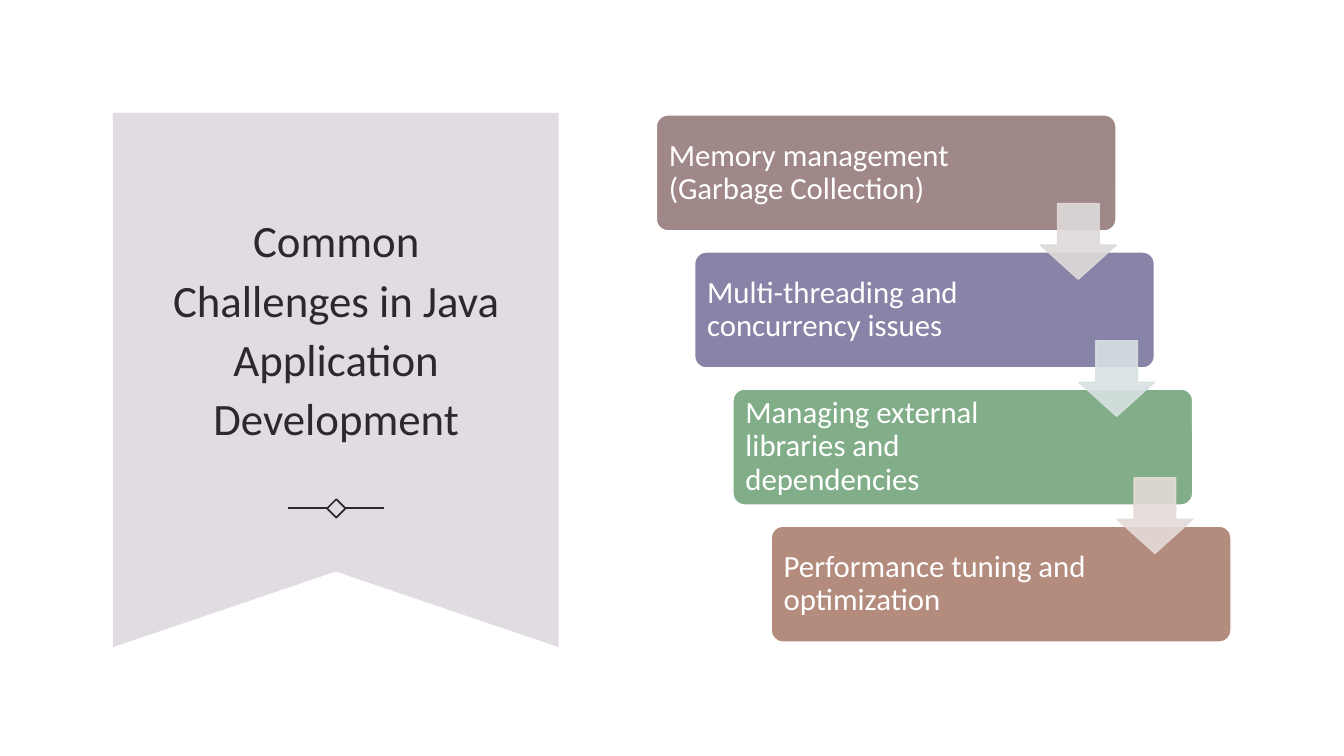
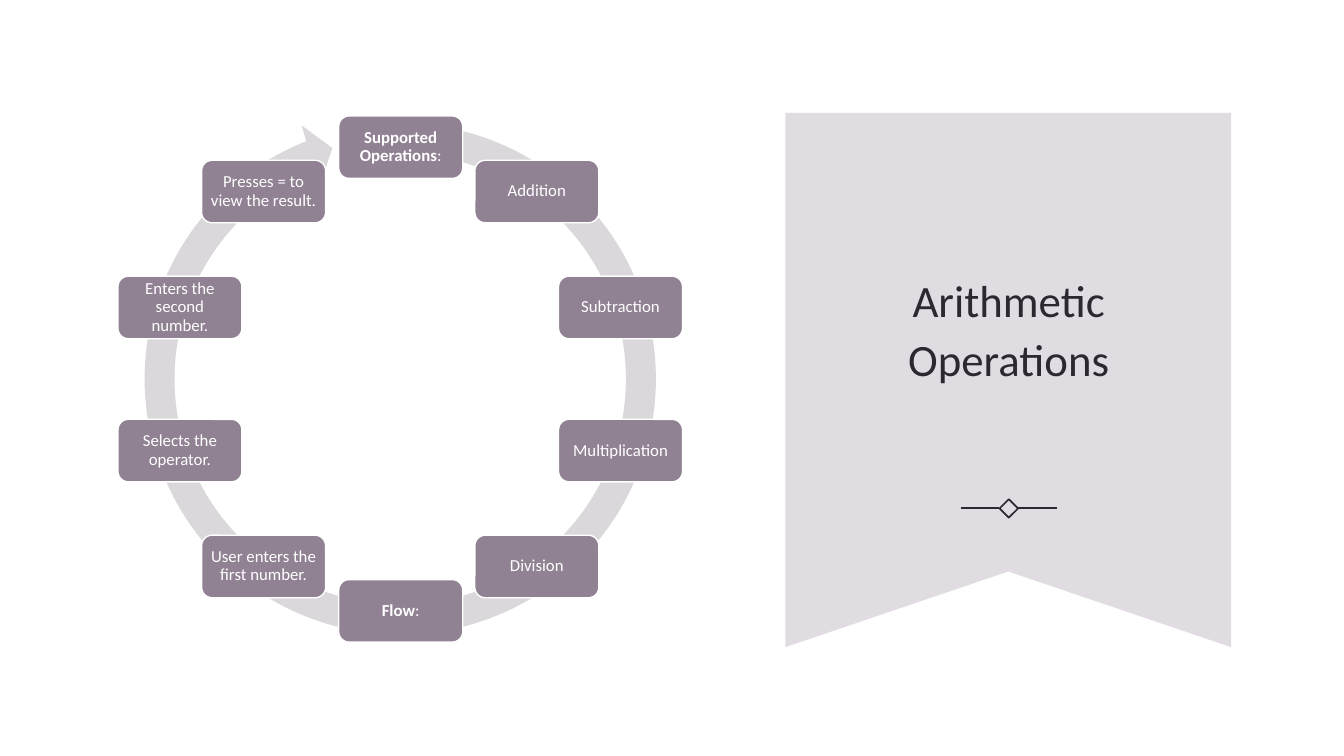
from math import cos, radians, sin

from lxml.etree import SubElement
from pptx import Presentation
from pptx.dml.color import RGBColor
from pptx.enum.shapes import MSO_CONNECTOR, MSO_SHAPE
from pptx.enum.text import MSO_ANCHOR, PP_ALIGN
from pptx.oxml.ns import qn
from pptx.util import Pt

SCALE = 9144
FONT = "Calibri"
INK, WHITE, RIBBON = "2C2830", "FFFFFF", "E0DCE1"
RING, CYCLE_CARD = "DBD8DC", "908193"

CHALLENGES = [
    ("Memory management (Garbage Collection)", "A08889"),
    ("Multi-threading and concurrency issues", "8784A7"),
    ("Managing external libraries and dependencies", "81AE88"),
    ("Performance tuning and optimization", "B48C7E"),
]
ARROW_COLORS = ["DFDADA", "D8E1E2", "E5DAD7"]
CYCLE_STEPS = [
    "Supported Operations:",
    "Addition",
    "Subtraction",
    "Multiplication",
    "Division",
    "Flow:",
    "User enters the first number.",
    "Selects the operator.",
    "Enters the second number.",
    "Presses = to view the result.",
]


def px(*lengths):
    """Turn lengths in px into a list of EMU."""
    return [round(length * SCALE) for length in lengths]


def color(value):
    """Return the colour of a hex string."""
    return RGBColor.from_string(value)


def paint(shape, fill=None, line=None, width=1):
    """Set fill and line of a shape and remove its shadow."""
    shape.shadow.inherit = False
    if fill:
        shape.fill.solid()
        shape.fill.fore_color.rgb = color(fill)
    else:
        shape.fill.background()
    if line:
        shape.line.color.rgb = color(line)
        shape.line.width = Pt(width)
    else:
        shape.line.fill.background()


def add_preset(slide, preset, box, adjustments=(), **style):
    """Add a painted preset shape at left, top, width, height."""
    shape = slide.shapes.add_shape(preset, *px(*box))
    for index, value in enumerate(adjustments):
        shape.adjustments[index] = value
    paint(shape, **style)
    return shape


def set_margins(text_frame, left, right, vertical):
    """Wrap the text, centre it vertically and set its insets."""
    text_frame.word_wrap = True
    text_frame.vertical_anchor = MSO_ANCHOR.MIDDLE
    text_frame.margin_left, text_frame.margin_right = px(left, right)
    text_frame.margin_top = text_frame.margin_bottom = px(vertical)[0]


def write(shape, text, size, ink, align, spacing):
    """Write one paragraph; a label that ends in a colon is bold before it."""
    paragraph = shape.text_frame.paragraphs[0]
    paragraph.alignment = align
    paragraph.line_spacing = spacing
    heading = text.endswith(":")
    paragraph.text = text.rstrip(":")
    if heading:
        paragraph.add_run().text = ":"
    for index, run in enumerate(paragraph.runs):
        run.font.name = FONT
        run.font.size = Pt(size)
        run.font.color.rgb = color(ink)
        run.font.bold = heading and index == 0


def add_line(slide, left, right, y):
    """Add a thin horizontal line without a shadow."""
    line = slide.shapes.add_connector(
        MSO_CONNECTOR.STRAIGHT, *px(left, y, right, y)
    )
    line.line.color.rgb = color(INK)
    line.line.width = Pt(1.25)
    SubElement(line.element.spPr, qn("a:effectLst"))


def add_title_ribbon(slide, left, title):
    """Add the notched ribbon with its title and ornament."""
    top, bottom, notch, width = 112, 642, 567, 442
    right = left + width
    builder = slide.shapes.build_freeform(left, top, scale=SCALE)
    builder.add_line_segments(
        [(right, top), (right, bottom), (left + width // 2, notch), (left, bottom)]
    )
    paint(builder.convert_to_shape(), fill=RIBBON)

    title_box = slide.shapes.add_textbox(*px(left + 44, 181, 355, 285))
    set_margins(title_box.text_frame, 10, 10, 5)
    write(title_box, title, 32, INK, PP_ALIGN.CENTER, 1.1)

    diamond = add_preset(
        slide, MSO_SHAPE.RECTANGLE, (left + 215, 498, 13, 13), line=INK, width=1.25
    )
    diamond.rotation = 45
    for start, end in ((174, 212), (230, 269)):
        add_line(slide, left + start, left + end, 504)


def add_staircase(slide):
    """Add the descending cards and the arrows between them."""
    step_x, step_y = 38, 136
    for index, (text, fill) in enumerate(CHALLENGES):
        card = add_preset(
            slide,
            MSO_SHAPE.ROUNDED_RECTANGLE,
            (651 + index * step_x, 114 + index * step_y, 456, 115),
            [0.1],
            fill=fill,
            line=WHITE,
        )
        set_margins(card.text_frame, 9, 137, 0)
        write(card, text, 22, WHITE, PP_ALIGN.LEFT, 0.9)
    for index, fill in enumerate(ARROW_COLORS):
        arrow = add_preset(
            slide,
            MSO_SHAPE.DOWN_ARROW,
            (1032 + index * step_x, 202 + index * step_y, 75, 75),
            [0.45, 0.55],
            fill=fill,
            line=fill,
        )
        arrow.adjustments[0], arrow.adjustments[1] = 0.55, 0.45
        for element in arrow.element.spPr.iter(qn("a:srgbClr")):
            SubElement(element, qn("a:alpha"), val="90000")


def add_cycle(slide):
    """Add the circular arrow and the cards spread evenly around it."""
    add_preset(
        slide,
        MSO_SHAPE.CIRCULAR_ARROW,
        (127, 106, 540, 540),
        [0.055, 3.307, 148.87, 167.404, 0.058],
        fill=RING,
    )
    center_x, center_y, radius = 397, 376, 230
    width, height = 123, 62
    for index, text in enumerate(CYCLE_STEPS):
        angle = radians(360 / len(CYCLE_STEPS) * index)
        left = round(center_x + radius * sin(angle) - width / 2)
        top = round(center_y - radius * cos(angle) - height / 2)
        card = add_preset(
            slide,
            MSO_SHAPE.ROUNDED_RECTANGLE,
            (left, top, width, height),
            fill=CYCLE_CARD,
            line=WHITE,
        )
        set_margins(card.text_frame, 5, 5, 0)
        write(card, text, 12, WHITE, PP_ALIGN.CENTER, 0.9)


def main():
    """Build both slides and save the presentation."""
    presentation = Presentation()
    presentation.slide_width, presentation.slide_height = px(1333, 750)
    blank = presentation.slide_layouts[6]

    slide = presentation.slides.add_slide(blank)
    add_title_ribbon(slide, 112, "Common Challenges in Java Application Development")
    add_staircase(slide)

    slide = presentation.slides.add_slide(blank)
    add_title_ribbon(slide, 779, "Arithmetic Operations")
    add_cycle(slide)

    presentation.save("out.pptx")


if __name__ == "__main__":
    main()
